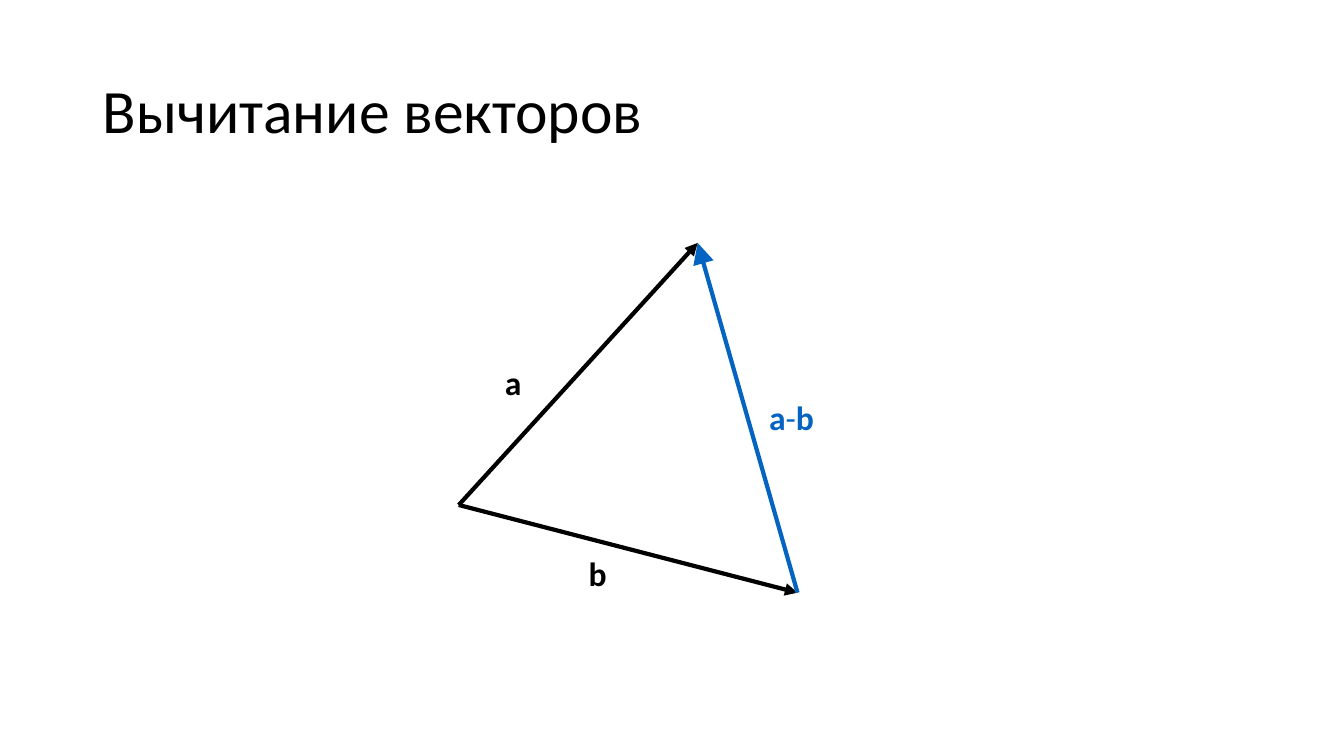
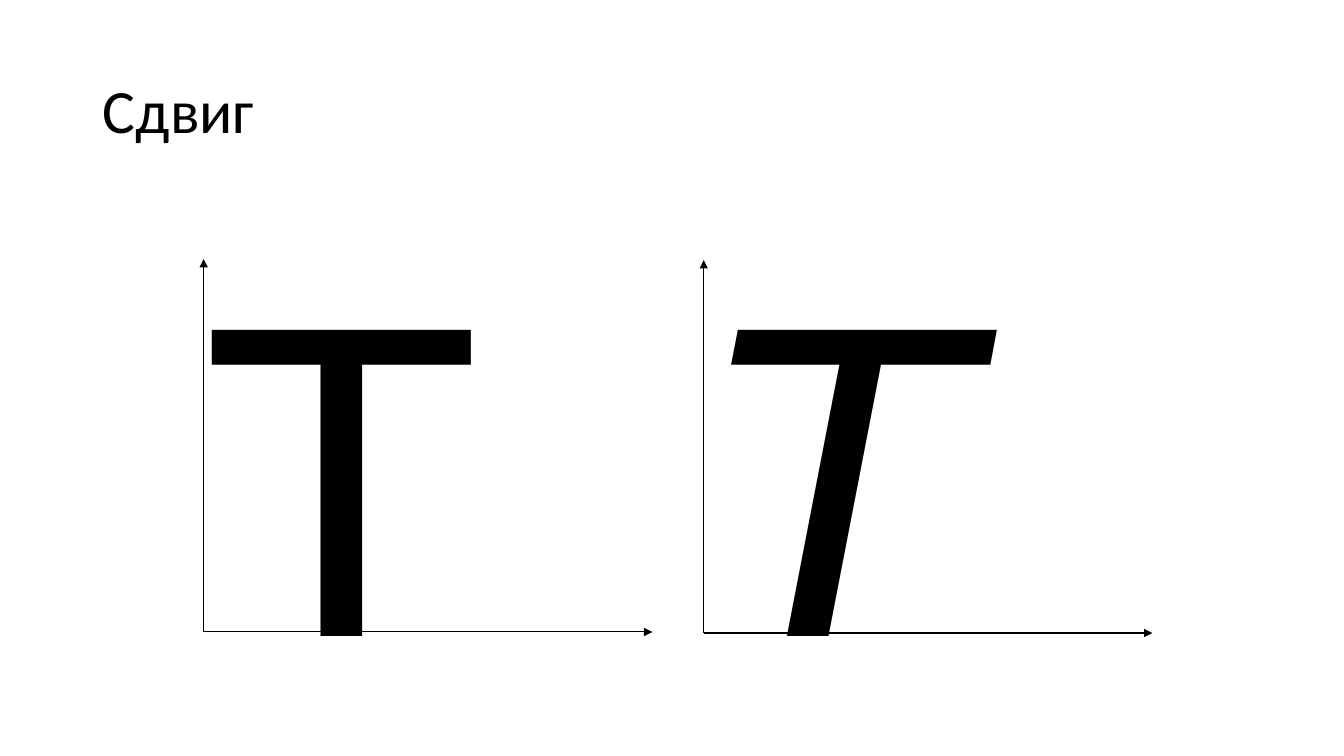
from dataclasses import dataclass

from lxml.etree import SubElement
from pptx import Presentation
from pptx.dml.color import RGBColor
from pptx.enum.shapes import MSO_CONNECTOR
from pptx.enum.text import MSO_ANCHOR, PP_ALIGN
from pptx.oxml.ns import qn
from pptx.slide import Slide
from pptx.util import Emu, Pt

PX = 9144  # 100 px to the inch


@dataclass(frozen=True)
class Theme:
    black: RGBColor = RGBColor(0x00, 0x00, 0x00)
    blue: RGBColor = RGBColor(0x05, 0x63, 0xC1)
    font: str = "Calibri"
    glyph_font: str = "DejaVu Sans"
    title_size: int = 44
    label_size: int = 24
    glyph_size: int = 300
    vector_width: float = 3
    axis_width: float = 0.75


THEME = Theme()
Point = tuple[int, int]


@dataclass(frozen=True)
class Run:
    text: str
    size: int = THEME.label_size
    font: str = THEME.font
    color: RGBColor = THEME.black
    bold: bool = False
    italic: bool = False


@dataclass(frozen=True)
class Label:
    x: int
    y: int
    w: int
    h: int
    runs: tuple[Run, ...]


@dataclass(frozen=True)
class Arrow:
    start: Point
    end: Point
    width: float = THEME.vector_width
    color: RGBColor = THEME.black
    head: str = "med"


def px(n: int) -> Emu:
    return Emu(n * PX)


def add_run(p, run: Run) -> None:
    r = p.add_run()
    r.text = run.text
    r.font.name = run.font
    r.font.size = Pt(run.size)
    r.font.bold = run.bold
    r.font.italic = run.italic
    r.font.color.rgb = run.color


def add_titled_slide(prs, title: str) -> Slide:
    s = prs.slides.add_slide(prs.slide_layouts[5])
    sp = s.shapes.title
    sp.left, sp.top, sp.width, sp.height = map(px, (92, 40, 1150, 145))
    tf = sp.text_frame
    tf.vertical_anchor = MSO_ANCHOR.MIDDLE
    p = tf.paragraphs[0]
    p.alignment = PP_ALIGN.LEFT
    p.line_spacing = 0.9
    add_run(p, Run(title, THEME.title_size))
    return s


def add_label(s: Slide, label: Label) -> None:
    sp = s.shapes.add_textbox(*map(px, (label.x, label.y, label.w, label.h)))
    tf = sp.text_frame
    tf.word_wrap = True
    for run in label.runs:
        add_run(tf.paragraphs[0], run)


def add_arrow(s: Slide, arrow: Arrow) -> None:
    ends = map(px, (*arrow.start, *arrow.end))
    cxn = s.shapes.add_connector(MSO_CONNECTOR.STRAIGHT, *ends)
    cxn.line.width = Pt(arrow.width)
    cxn.line.color.rgb = arrow.color
    SubElement(cxn.line._get_or_add_ln(), qn("a:tailEnd"),
               type="triangle", w=arrow.head, len=arrow.head)
    SubElement(cxn._element.spPr, qn("a:effectLst"))


def build_subtraction(prs) -> None:
    s = add_titled_slide(prs, "Вычитание векторов")
    origin, tip_a, tip_b = (455, 501), (692, 241), (791, 588)

    # Vectors
    add_arrow(s, Arrow(origin, tip_b))
    add_arrow(s, Arrow(tip_b, tip_a, color=THEME.blue, head="lg"))
    add_arrow(s, Arrow(origin, tip_a))

    # Vector names
    for label in (
        Label(574, 544, 53, 69, (Run("b", bold=True),)),
        Label(491, 354, 51, 69, (Run("a", bold=True),)),
        Label(753, 389, 90, 69, (
            Run("a", color=THEME.blue, bold=True),
            Run("-", color=THEME.blue),
            Run("b", color=THEME.blue, bold=True),
        )),
    ):
        add_label(s, label)


def build_shear(prs) -> None:
    s = add_titled_slide(prs, "Сдвиг")
    axis_x, axis_y = 445, 370

    # Upright and sheared letter, each on its own axes
    for x, y, italic in ((202, 627, False), (698, 628, True)):
        glyph = Run("T", THEME.glyph_size, THEME.glyph_font, italic=italic)
        add_label(s, Label(x, 210, 277, 510, (glyph,)))
        for end in ((x + axis_x, y), (x, y - axis_y)):
            add_arrow(s, Arrow((x, y), end, THEME.axis_width))


def main() -> None:
    prs = Presentation()
    prs.slide_width, prs.slide_height = px(1333), px(750)
    build_subtraction(prs)
    build_shear(prs)
    prs.save("out.pptx")


if __name__ == "__main__":
    main()
